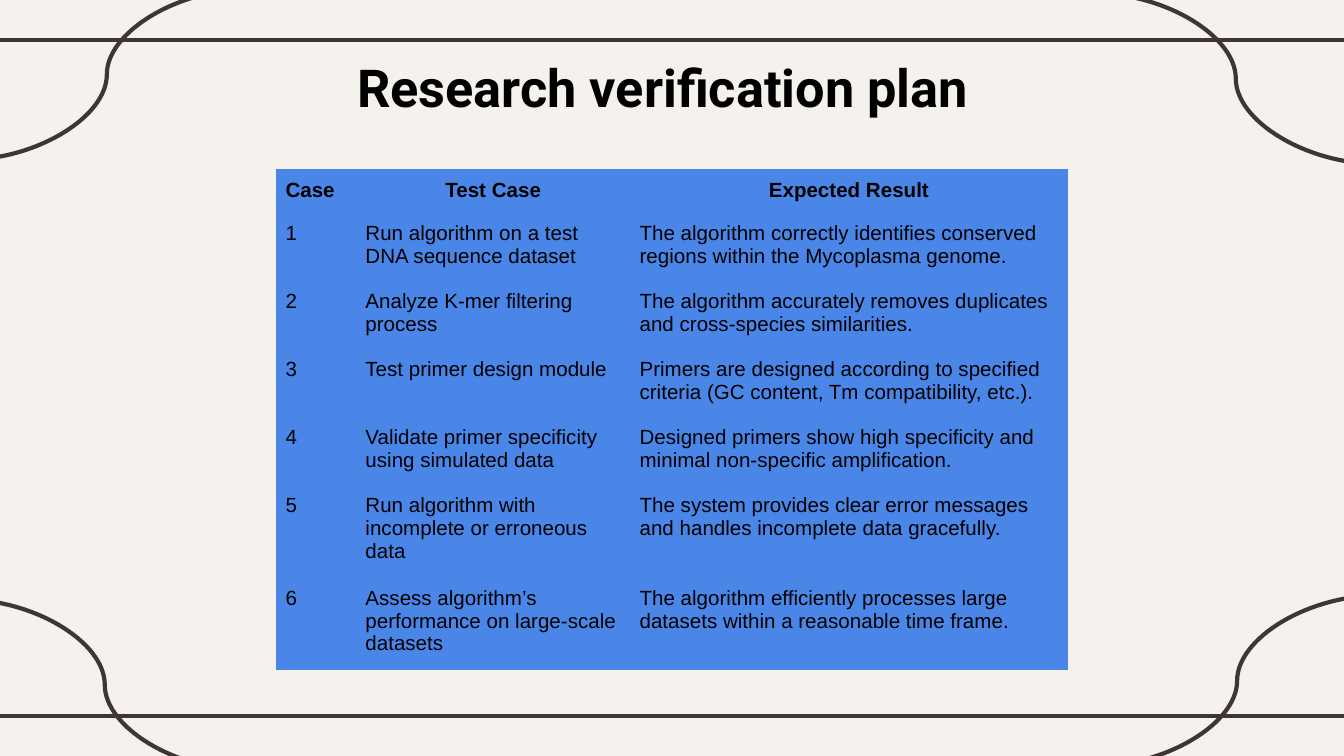
from lxml.etree import SubElement
from pptx import Presentation
from pptx.dml.color import RGBColor
from pptx.enum.shapes import MSO_CONNECTOR
from pptx.enum.text import MSO_AUTO_SIZE, PP_ALIGN
from pptx.oxml.ns import qn
from pptx.util import Inches, Pt

WIDE = 10
HIGH = WIDE * 9 / 16
CREAM = RGBColor(0xF5, 0xF2, 0xEE)
BROWN = RGBColor(0x3F, 0x35, 0x33)
BLUE = RGBColor(0x4A, 0x86, 0xE8)
BLACK = RGBColor(0, 0, 0)
NO_GRID = "{2D5ABB26-0587-4C30-8999-92F81FD0307C}"

RULES = [5.33, 94.76]
CURVES = [
    (-2.7, 79.29, 18.3, 101.87),
    (81.4, -0.89, 102.5, 21.69),
    (102.6, 78.76, 81.5, 101.33),
    (18.5, -1.42, -2.6, 21.16),
]
COLS = [5.95, 20.4, 32.55]
ROWS = [5.69] + [9] * 4 + [12.27] * 2
HEADS = ["Case ", "Test Case", "Expected Result"]
CASES = [
    ("Run algorithm on a test DNA sequence dataset",
     "The algorithm correctly identifies conserved regions within the Mycoplasma genome."),
    ("Analyze K-mer filtering process",
     "The algorithm accurately removes duplicates and cross-species similarities."),
    ("Test primer design module",
     "Primers are designed according to specified criteria (GC content, Tm compatibility, etc.)."),
    ("Validate primer specificity using simulated data",
     "Designed primers show high specificity and minimal non-specific amplification."),
    ("Run algorithm with incomplete or erroneous data",
     "The system provides clear error messages and handles incomplete data gracefully."),
    ("Assess algorithm’s performance on large-scale datasets",
     "The algorithm efficiently processes large datasets within a reasonable time frame."),
]


def across(share):
    return Inches(WIDE * share / 100)


def down(share):
    return Inches(HIGH * share / 100)


def apply(item, form):
    for name, value in form.items():
        setattr(item, name, value)


def write(frame, text, align, form):
    para = frame.paragraphs[0]
    para.alignment = align
    run = para.add_run()
    run.text = text
    apply(run.font, form)
    run.font.color.rgb = BLACK


def draw_line(slide, kind, left, top, right, base):
    line = slide.shapes.add_connector(
        kind, across(left), down(top), across(right), down(base))
    line.line.color.rgb = BROWN
    line.line.width = Pt(2.25)
    SubElement(line._element.spPr, qn("a:effectLst"))


def add_title(slide, text):
    box = slide.shapes.add_textbox(
        across(25.6), down(6.4), across(49.5), down(10.13))
    apply(box.text_frame, {"word_wrap": True, "auto_size": MSO_AUTO_SIZE.SHAPE_TO_FIT_TEXT})
    write(box.text_frame, text, PP_ALIGN.LEFT,
          {"name": "Roboto", "size": Pt(28), "bold": True})


def fill_cell(cell, text, align, bold):
    sides = ("left", "right", "top", "bottom")
    apply(cell, {f"margin_{side}": Pt(5) for side in sides})
    cell.fill.solid()
    cell.fill.fore_color.rgb = BLUE
    write(cell.text_frame, text, align,
          {"name": "Arial", "size": Pt(11), "bold": bold})


def add_plan(slide):
    grid = slide.shapes.add_table(
        len(ROWS), len(COLS), across(20.55), down(22.4),
        across(sum(COLS)), down(sum(ROWS))).table
    apply(grid, {"first_row": False, "horz_banding": False})
    grid._tbl.tblPr.find(qn("a:tableStyleId")).text = NO_GRID
    for col, share in zip(grid.columns, COLS):
        col.width = across(share)
    for row, share in zip(grid.rows, ROWS):
        row.height = down(share)
    lines = [HEADS] + [(str(num), *case) for num, case in enumerate(CASES, 1)]
    for r, line in enumerate(lines):
        for c, text in enumerate(line):
            align = PP_ALIGN.CENTER if r == 0 and c else PP_ALIGN.LEFT
            fill_cell(grid.cell(r, c), text, align, r == 0)


def main():
    deck = Presentation()
    apply(deck, {"slide_width": Inches(WIDE), "slide_height": Inches(HIGH)})
    slide = deck.slides.add_slide(deck.slide_layouts[6])
    slide.background.fill.solid()
    slide.background.fill.fore_color.rgb = CREAM
    for level in RULES:
        draw_line(slide, MSO_CONNECTOR.STRAIGHT, -0.8, level, 100.8, level)
    for ends in CURVES:
        draw_line(slide, MSO_CONNECTOR.CURVE, *ends)
    add_title(slide, "Research verification plan")
    add_plan(slide)
    deck.save("out.pptx")


if __name__ == "__main__":
    main()
